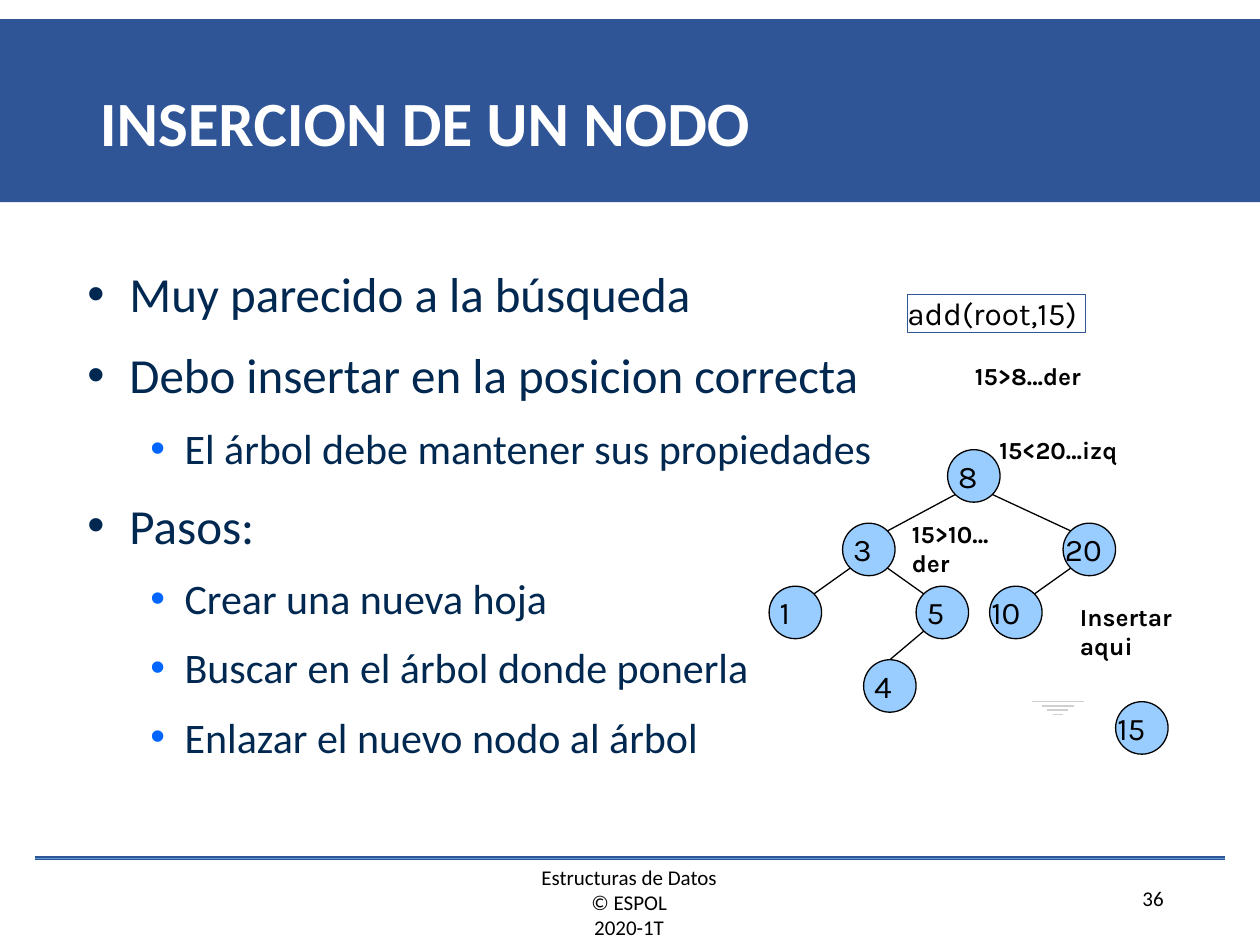
from lxml import etree
from pptx import Presentation
from pptx.dml.color import RGBColor
from pptx.enum.shapes import MSO_CONNECTOR, MSO_SHAPE
from pptx.enum.text import MSO_ANCHOR, PP_ALIGN
from pptx.oxml.ns import qn
from pptx.util import Pt

STRAIGHT = MSO_CONNECTOR.STRAIGHT
RECT, OVAL = MSO_SHAPE.RECTANGLE, MSO_SHAPE.OVAL
TOP, MIDDLE = MSO_ANCHOR.TOP, MSO_ANCHOR.MIDDLE
LEFT, CENTER, RIGHT = PP_ALIGN.LEFT, PP_ALIGN.CENTER, PP_ALIGN.RIGHT

WHITE = RGBColor(0xFF, 0xFF, 0xFF)
BLACK = RGBColor(0, 0, 0)
BAND = RGBColor(0x2F, 0x55, 0x97)
RULE_LIGHT = RGBColor(0x5B, 0x9B, 0xD5)
NAVY = RGBColor(0x00, 0x28, 0x50)
BULLET = RGBColor(0x00, 0x66, 0xFF)
NODE = RGBColor(0x99, 0xCC, 0xFF)
GHOST = RGBColor(0xD0, 0xD0, 0xD0)

# Content
TITLE = "INSERCION DE UN NODO"
FOOTER = ["Estructuras de Datos", "© ESPOL", "2020-1T"]
PAGE = "36"
POINTS = [  # level, text
    (0, "Muy parecido a la búsqueda"),
    (0, "Debo insertar en la posicion correcta"),
    (1, "El árbol debe mantener sus propiedades"),
    (0, "Pasos:"),
    (1, "Crear una nueva hoja"),
    (1, "Buscar en el árbol donde ponerla"),
    (1, "Enlazar el nuevo nodo al árbol"),
]
# size, space before, left margin, hanging indent, bullet colour
LEVELS = [(28, 6, 24, 24, NAVY), (24, 5, 55.5, 19.5, BULLET)]
CALL = "add(root,15)"
STEPS = [  # text, left, top, width, height
    ("15>8…der", 553.5, 203, 96, 24.5),
    ("15<20…izq", 567.5, 245, 96, 24.5),
    ("15>10…der", 517.5, 293, 72, 41),
    ("Insertar aqui", 613.5, 340.5, 78, 41),
]
NODES = {  # key: centre
    "8": (556.5, 272), "3": (496.5, 314), "20": (622.5, 314),
    "1": (454.5, 350), "5": (538.5, 350), "10": (580.5, 350),
    "4": (508.5, 392), "15": (652.5, 416),
}
EDGES = [("8", "3"), ("8", "20"), ("3", "1"), ("3", "5"), ("20", "10"), ("5", "4")]
RADIUS = 15
DIAGONAL = 10.6  # offset of a circle's 45-degree point
NULL_CENTER, NULL_TOP, NULL_STEP = 604.5, 401, 2.4
NULL_BARS = [30, 18, 12, 6]

prs = Presentation()
prs.slide_width, prs.slide_height = Pt(720), Pt(540)
slide = prs.slides.add_slide(prs.slide_layouts[6])
shapes = slide.shapes


def add_text(lines, left, top, width, height, size, color=BLACK, font="Calibri",
             bold=False, align=LEFT, anchor=TOP, inset=(0, 0)):
    box = shapes.add_textbox(Pt(left), Pt(top), Pt(width), Pt(height))
    frame = box.text_frame
    frame.word_wrap = True
    frame.vertical_anchor = anchor
    frame.margin_left = frame.margin_right = Pt(inset[0])
    frame.margin_top = frame.margin_bottom = Pt(inset[1])
    for i, line in enumerate(lines):
        paragraph = frame.paragraphs[0] if i == 0 else frame.add_paragraph()
        paragraph.alignment = align
        add_run(paragraph, line, size, color, font, bold)
    return box


def add_run(paragraph, text, size, color, font="Calibri", bold=False):
    run = paragraph.add_run()
    run.text = text
    run.font.name, run.font.size, run.font.bold = font, Pt(size), bold
    run.font.color.rgb = color


def add_line(x1, y1, x2, y2, color=BLACK, width=0.75):
    line = shapes.add_connector(STRAIGHT, Pt(x1), Pt(y1), Pt(x2), Pt(y2))
    line.line.color.rgb, line.line.width = color, Pt(width)
    etree.SubElement(line._element.spPr, qn("a:effectLst"))


def add_filled(kind, left, top, width, height, fill):
    shape = shapes.add_shape(kind, Pt(left), Pt(top), Pt(width), Pt(height))
    shape.shadow.inherit = False
    shape.fill.solid()
    shape.fill.fore_color.rgb = fill
    return shape


def add_bullet(paragraph, color, margin, hanging):
    props = paragraph._p.get_or_add_pPr()
    props.set("marL", str(Pt(margin)))
    props.set("indent", str(-Pt(hanging)))
    bullet_color = etree.SubElement(props, qn("a:buClr"))
    etree.SubElement(bullet_color, qn("a:srgbClr"), val=str(color))
    etree.SubElement(props, qn("a:buFont"), typeface="Arial")
    etree.SubElement(props, qn("a:buChar"), char="•")


# Footer and its double rule
add_text(FOOTER, 234, 490.5, 251, 51, 12, align=CENTER, inset=(7.2, 3.6))
add_text([PAGE], 518.5, 502.5, 153.5, 21.5, 12, align=RIGHT, inset=(7.2, 3.6))
for rule_color, rule_width in [(BAND, 2.25), (RULE_LIGHT, 0.5)]:
    add_line(20, 490.5, 700, 490.5, rule_color, rule_width)

# Title band
band = add_filled(RECT, 0, 11, 720, 104.5, BAND)
band.line.fill.background()
title = add_text([TITLE], 50, 29, 620, 86, 36, WHITE, bold=True,
                 anchor=MIDDLE, inset=(7.2, 3.6))
title.text_frame.paragraphs[0].line_spacing = 0.9

# Bulleted points
body = add_text([], 50, 144, 620, 343, 28).text_frame
for i, (level, text) in enumerate(POINTS):
    size, before, margin, hanging, bullet_color = LEVELS[level]
    point = body.paragraphs[0] if i == 0 else body.add_paragraph()
    point.level = level
    point.line_spacing = 1.2
    point.space_before = Pt(before if i else 0)
    add_bullet(point, bullet_color, margin, hanging)
    add_run(point, text, size, NAVY)

# Tree edges, from the lower side of the parent to the upper side of the child
for parent, child in EDGES:
    (px, py), (cx, cy) = NODES[parent], NODES[child]
    side = DIAGONAL if cx > px else -DIAGONAL
    if child == "4":  # this edge meets the top of its node
        end = (cx, cy - RADIUS)
    else:
        end = (cx - side, cy - DIAGONAL)
    add_line(px + side, py + DIAGONAL, *end)

# Tree nodes and their keys
for key, (cx, cy) in NODES.items():
    left, top = cx - RADIUS, cy - RADIUS
    circle = add_filled(OVAL, left, top, 2 * RADIUS, 2 * RADIUS, NODE)
    circle.line.color.rgb, circle.line.width = BLACK, Pt(0.75)
    indent = 6 if len(key) == 1 else 1
    add_text([key], left + indent, top, 28, 29.5, 18, font="Karla", anchor=MIDDLE)

# Faded null symbol under node 10
for i, bar in enumerate(NULL_BARS):
    y = NULL_TOP + i * NULL_STEP
    add_line(NULL_CENTER - bar / 2, y, NULL_CENTER + bar / 2, y, GHOST)

# Call and comparison steps
call = add_text([CALL], 518.5, 168, 101.5, 22, 18, font="Karla")
call.line.color.rgb, call.line.width = BAND, Pt(0.5)
for text, *place in STEPS:
    add_text([text], *place, 14, font="Karla", bold=True, inset=(3.6, 3.6))

prs.save("out.pptx")
